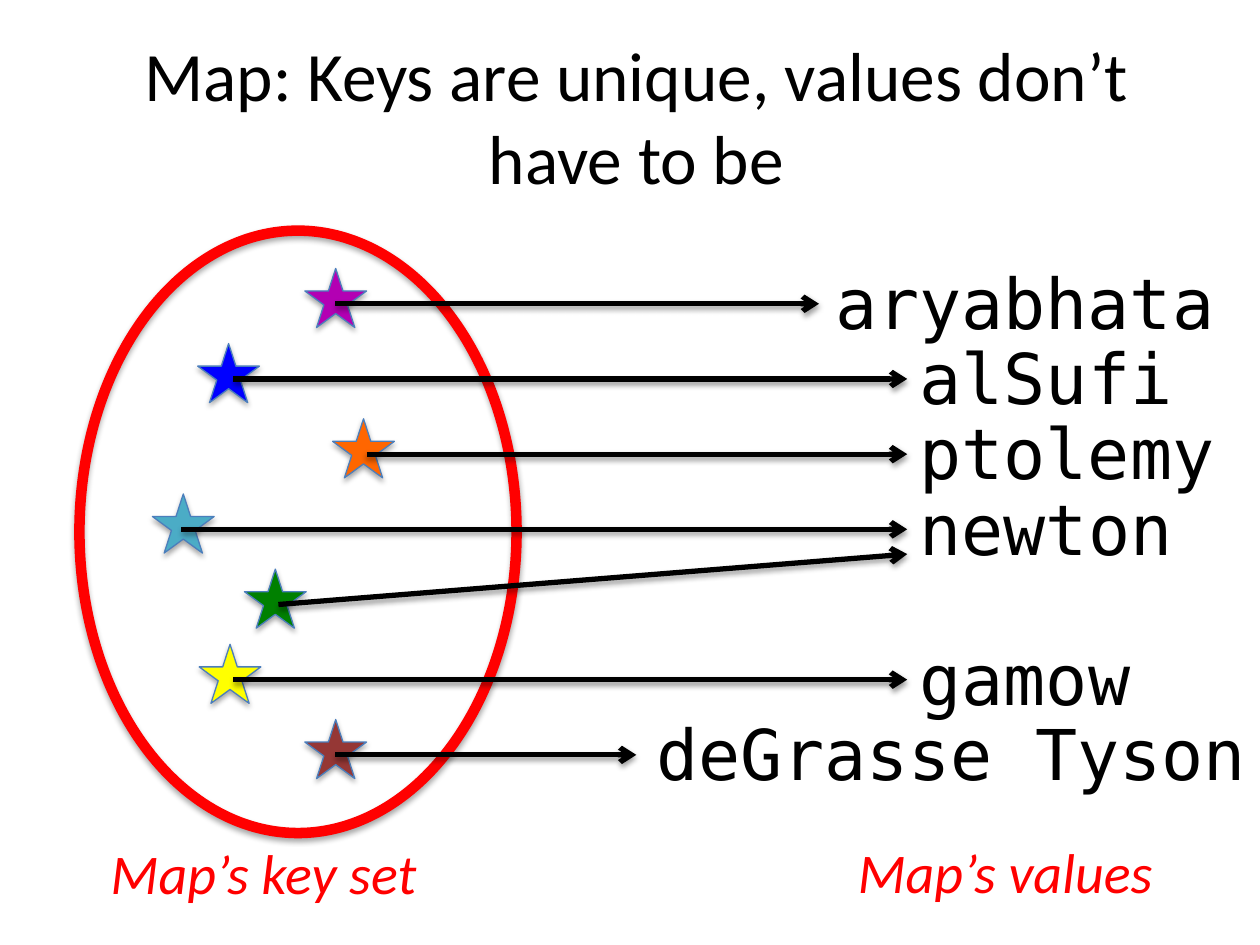
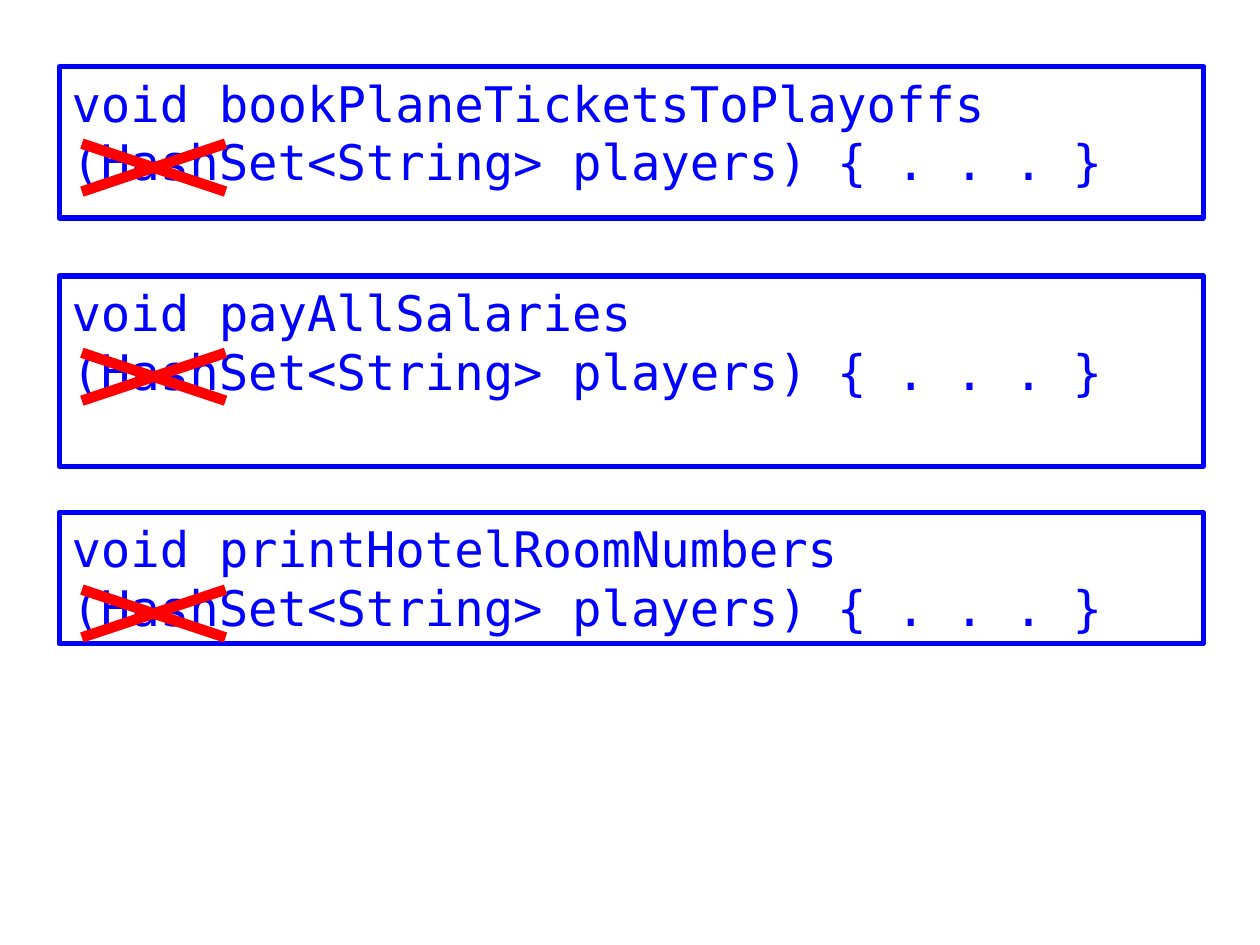
"""Build two slides on maps with unique keys and on methods tied to HashSet."""
from lxml import etree
from pptx import Presentation
from pptx import util as u
from pptx.dml import color
from pptx.enum import shapes, text
from pptx.oxml import ns

BLACK, RED, BLUE, STAR_EDGE = "000000", "FF0000", "0000FF", "4B7EBC"
BODY_FONT, CODE_FONT = "Calibri", "DejaVu Sans Mono"

ROW_TOP, ROW_PITCH = 153.4, 42.96
STAR_WIDTH, STAR_HEIGHT = 35.3, 33.8
ARROW_DROP, LABEL_RISE = 20.2, 8.6
KEY_ROWS = [
    # star colour, star left, arrow start, arrow end, arrow rise, label, label left
    ("B300B3", 174.2, 191.5, 468, 0, "aryabhata", 470.2, 232.6),
    (BLUE, 113, 133.2, 518.4, 0, "alSufi", 518.4, 159.8),
    ("FF6600", 190.1, 209.5, 518.4, 0, "ptolemy", 518.4, 184.3),
    ("4BACC6", 87.1, 103.7, 518.4, 0, "newton", 518.4, 159.8),
    ("008000", 139.7, 159.1, 518.4, 28.8, None, None, None),
    ("FFFF00", 113.8, 133.2, 518.4, 0, "gamow", 518.4, 135.4),
    ("953735", 174.2, 191.5, 363.6, 0, "deGrasse Tyson", 367.9, 353.5),
]

BOX_LEFT, BOX_WIDTH = 33.8, 653.8
METHODS = [
    ("bookPlaneTicketsToPlayoffs", 38.2, 86.4),
    ("payAllSalaries", 157.7, 108.7),
    ("printHotelRoomNumbers", 293, 74.9),
]
CROSS_LEFT, CROSS_RIGHT, CROSS_DROP, CROSS_HEIGHT = 46.8, 128.9, 43.9, 27.4


def rgb(value):
    return color.RGBColor.from_string(value)


def write(frame, content, size, font=BODY_FONT, colour=BLACK, italic=False,
          align=text.PP_ALIGN.LEFT, anchor=text.MSO_ANCHOR.TOP,
          wrap=True, fit=text.MSO_AUTO_SIZE.NONE):
    frame.word_wrap = wrap
    frame.auto_size = fit
    frame.vertical_anchor = anchor
    frame.text = content
    for paragraph in frame.paragraphs:
        paragraph.alignment = align
        for run in paragraph.runs:
            run.font.name = font
            run.font.size = u.Pt(size)
            run.font.italic = italic
            run.font.color.rgb = rgb(colour)


def add_label(slide, content, left, top, width, height, **format_options):
    box = slide.shapes.add_textbox(u.Pt(left), u.Pt(top), u.Pt(width), u.Pt(height))
    write(box.text_frame, content, wrap=False,
          fit=text.MSO_AUTO_SIZE.SHAPE_TO_FIT_TEXT, **format_options)


def add_outline(slide, kind, left, top, width, height, line, weight, fill=None):
    shape = slide.shapes.add_shape(kind, u.Pt(left), u.Pt(top), u.Pt(width), u.Pt(height))
    shape.shadow.inherit = False
    if fill:
        shape.fill.solid()
        shape.fill.fore_color.rgb = rgb(fill)
    else:
        shape.fill.background()
    shape.line.color.rgb = rgb(line)
    shape.line.width = u.Pt(weight)
    return shape


def add_line(slide, start, end, colour, weight):
    line = slide.shapes.add_connector(
        shapes.MSO_CONNECTOR.STRAIGHT, *(u.Pt(value) for value in start + end))
    line.line.color.rgb = rgb(colour)
    line.line.width = u.Pt(weight)
    etree.SubElement(line._element.spPr, ns.qn("a:effectLst"))
    return line


def add_shadow(shape, distance, opacity):
    effects = shape._element.spPr.find(ns.qn("a:effectLst"))
    shadow = etree.SubElement(
        effects, ns.qn("a:outerShdw"), blurRad=str(u.Pt(3.1)),
        dist=str(u.Pt(distance)), dir="5400000", rotWithShape="0")
    tint = etree.SubElement(shadow, ns.qn("a:srgbClr"), val=BLACK)
    etree.SubElement(tint, ns.qn("a:alpha"), val=str(opacity * 1000))


def add_arrow(slide, start, end):
    arrow = add_line(slide, start, end, BLACK, 3)
    etree.SubElement(arrow.line._get_or_add_ln(), ns.qn("a:tailEnd"), type="arrow")
    add_shadow(arrow, 1.6, 38)


def add_title(slide, content):
    title = slide.shapes.title
    title.left, title.top = u.Pt(39.6), u.Pt(20.9)
    title.width, title.height = u.Pt(648), u.Pt(90)
    write(title.text_frame, content, size=39.6, align=text.PP_ALIGN.CENTER,
          anchor=text.MSO_ANCHOR.MIDDLE)


def add_key_row(slide, top, fill, star_left, start, end, rise, name, name_left, name_width):
    star = add_outline(slide, shapes.MSO_SHAPE.STAR_5_POINT, star_left, top,
                       STAR_WIDTH, STAR_HEIGHT, STAR_EDGE, 0.75, fill)
    add_shadow(star, 1.8, 35)
    arrow_top = top + ARROW_DROP
    add_arrow(slide, (start, arrow_top), (end, arrow_top - rise))
    if name:
        add_label(slide, name, name_left, top - LABEL_RISE, name_width, 55.4,
                  size=40, font=CODE_FONT)


def add_method(slide, name, top, height):
    box = add_outline(slide, shapes.MSO_SHAPE.RECTANGLE, BOX_LEFT, top,
                      BOX_WIDTH, height, BLUE, 3)
    write(box.text_frame, f"void {name}\n(HashSet<String> players) {{ . . . }}",
          size=28, font=CODE_FONT, colour=BLUE)
    upper = top + CROSS_DROP
    lower = upper + CROSS_HEIGHT
    for first, last in ((lower, upper), (upper, lower)):
        add_line(slide, (CROSS_LEFT, first), (CROSS_RIGHT, last), RED, 6)


def build_map_slide(presentation):
    slide = presentation.slides.add_slide(presentation.slide_layouts[5])
    add_title(slide, "Map: Keys are unique, values don’t have to be")
    key_set = add_outline(slide, shapes.MSO_SHAPE.OVAL, 45.4, 131.8, 249.8, 344.2, RED, 6)
    add_shadow(key_set, 1.8, 35)
    for index, row in enumerate(KEY_ROWS):
        add_key_row(slide, ROW_TOP + index * ROW_PITCH, *row)
    for caption, left, top, width in (("Map’s key set", 56.2, 475.9, 201.6),
                                      ("Map’s values", 483.1, 475.2, 194.4)):
        add_label(slide, caption, left, top, width, 46.1,
                  size=32, colour=RED, italic=True)


def build_methods_slide(presentation):
    slide = presentation.slides.add_slide(presentation.slide_layouts[6])
    for method in METHODS:
        add_method(slide, *method)


def main():
    presentation = Presentation()
    presentation.slide_width, presentation.slide_height = u.Pt(720), u.Pt(540)
    build_map_slide(presentation)
    build_methods_slide(presentation)
    presentation.save("out.pptx")


if __name__ == "__main__":
    main()
